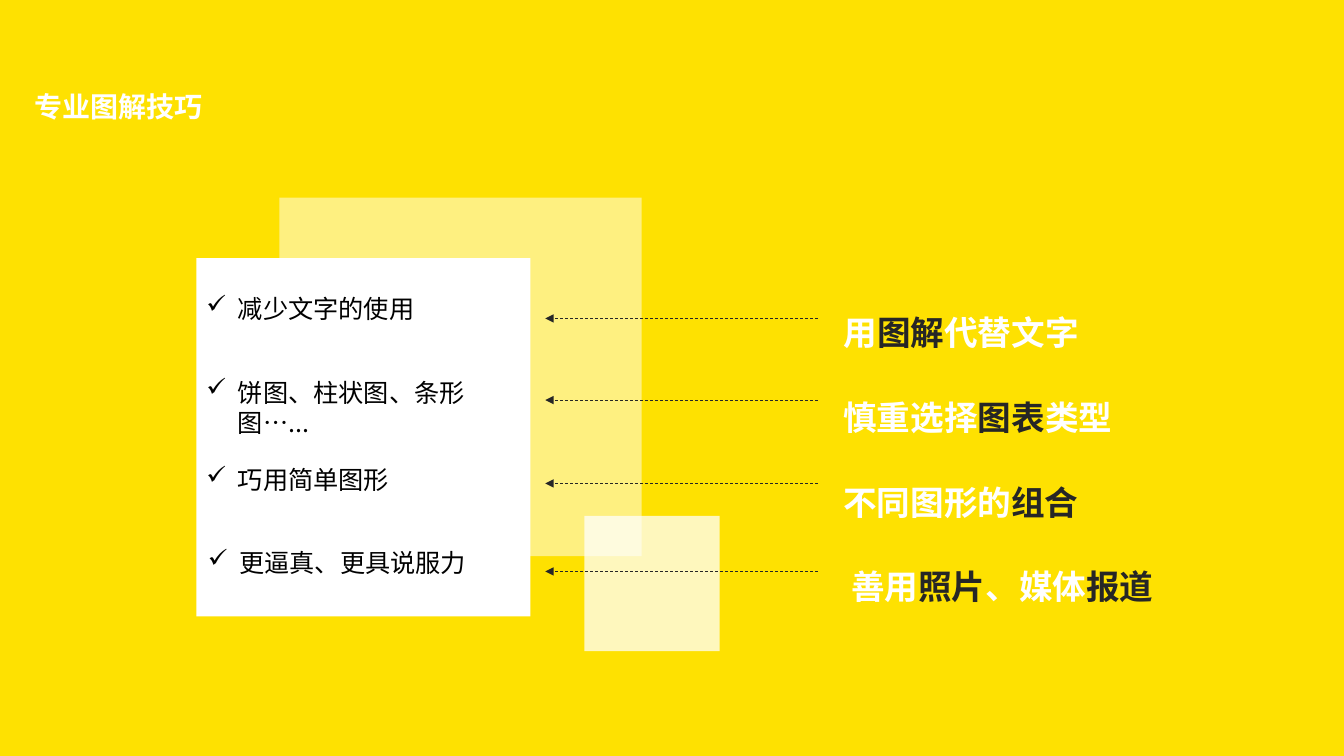
from typing import NamedTuple

from lxml import etree
from pptx import Presentation
from pptx.dml.color import RGBColor
from pptx.enum import dml, shapes, text
from pptx.oxml.ns import qn
from pptx.util import Pt

FONT = "Noto Sans CJK SC"
YELLOW, WHITE, DARK, BLACK = "FEE101", "FFFFFF", "262626", "000000"


class Panel(NamedTuple):
    left: float
    top: float
    width: float
    height: float
    opacity: int = 100


class ChecklistItem(NamedTuple):
    wording: str
    left: float
    top: float
    width: float
    arrow_y: float


BACK_PANEL = Panel(199.6, 141.2, 258.7, 256)
LIST_PANEL = Panel(140.2, 184.3, 238.6, 256)
SMALL_PANEL = Panel(417.5, 368.5, 96.6, 96.6, 74)
CHECKLIST = [
    ChecklistItem("减少文字的使用", 140.4, 205.9, 235.4, 227.5),
    ChecklistItem("饼图、柱状图、条形图…...", 140.4, 265.7, 246.2, 285.8),
    ChecklistItem("巧用简单图形", 140.4, 328.3, 261.4, 345.3),
    ChecklistItem("更逼真、更具说服力", 141.4, 387.4, 211, 408.2),
]
# Each tip alternates between white and dark wording, starting with white.
TIPS = [
    ["用", "图解", "代替文字"],
    ["慎重选择", "图表", "类型"],
    ["不同图形的", "组合"],
    [" 善用", "照片", "、媒体", "报道"],
]


def color(value: str) -> RGBColor:
    return RGBColor.from_string(value)


def style_run(run, size: float, value: str, bold: bool = False) -> None:
    run.font.size = Pt(size)
    run.font.bold = bold
    run.font.name = FONT
    run.font.color.rgb = color(value)
    east_asian = etree.SubElement(run._r.get_or_add_rPr(), qn("a:ea"))
    east_asian.set("typeface", FONT)


def add_panel(slide, panel: Panel) -> None:
    shape = slide.shapes.add_shape(
        shapes.MSO_SHAPE.RECTANGLE, *map(Pt, panel[:4]))
    shape.shadow.inherit = False
    shape.fill.solid()
    shape.fill.fore_color.rgb = color(WHITE)
    shape.line.fill.background()
    if panel.opacity < 100:
        fill_color = shape._element.spPr.find(".//" + qn("a:srgbClr"))
        etree.SubElement(fill_color, qn("a:alpha")).set(
            "val", str(panel.opacity * 1000))


def add_text_frame(slide, left: float, top: float, width: float, height: float):
    frame = slide.shapes.add_textbox(*map(Pt, (left, top, width, height))).text_frame
    frame.word_wrap = True
    return frame


def add_title(slide) -> None:
    frame = add_text_frame(slide, 17.3, 56.2, 138.2, 41.8)
    frame.vertical_anchor = text.MSO_ANCHOR.MIDDLE
    frame.text = "专业图解技巧"
    frame.paragraphs[0].line_spacing = 0.9
    style_run(frame.paragraphs[0].runs[0], 20, WHITE, bold=True)


def add_tips(slide) -> None:
    frame = add_text_frame(slide, 595.4, 187.9, 324, 291.6)
    for row, parts in enumerate(TIPS):
        paragraph = frame.add_paragraph() if row else frame.paragraphs[0]
        paragraph.line_spacing = 2.1
        for column, wording in enumerate(parts):
            run = paragraph.add_run()
            run.text = wording
            style_run(run, 24, DARK if column % 2 else WHITE, bold=True)


def add_checklist_item(slide, item: ChecklistItem) -> None:
    frame = add_text_frame(slide, item.left, item.top, item.width, 28.8)
    frame.text = item.wording
    paragraph = frame.paragraphs[0]
    properties = paragraph._p.get_or_add_pPr()
    indent = Pt(22.5)
    properties.set("marL", str(indent))
    properties.set("indent", str(-indent))
    etree.SubElement(properties, qn("a:buChar")).set("char", "✓")
    style_run(paragraph.runs[0], 18, BLACK)


def add_arrow(slide, y: float) -> None:
    """Draw a dashed arrow from the tips to the checklist."""
    connector = slide.shapes.add_connector(
        shapes.MSO_CONNECTOR.STRAIGHT, Pt(584), Pt(y), Pt(389.5), Pt(y))
    connector.line.color.rgb = color(DARK)
    connector.line.width = Pt(0.5)
    connector.line.dash_style = dml.MSO_LINE.DASH
    etree.SubElement(connector.line._get_or_add_ln(), qn("a:tailEnd")).set(
        "type", "triangle")
    etree.SubElement(connector._element.spPr, qn("a:effectLst"))


def main() -> None:
    presentation = Presentation()
    presentation.slide_width, presentation.slide_height = Pt(960), Pt(540)
    slide = presentation.slides.add_slide(presentation.slide_layouts[6])
    slide.background.fill.solid()
    slide.background.fill.fore_color.rgb = color(YELLOW)

    add_panel(slide, BACK_PANEL._replace(opacity=50))
    add_panel(slide, LIST_PANEL)
    add_tips(slide)
    add_title(slide)
    for item in CHECKLIST:
        add_checklist_item(slide, item)
    add_panel(slide, SMALL_PANEL)
    for item in CHECKLIST:
        add_arrow(slide, item.arrow_y)
    presentation.save("out.pptx")


if __name__ == "__main__":
    main()
